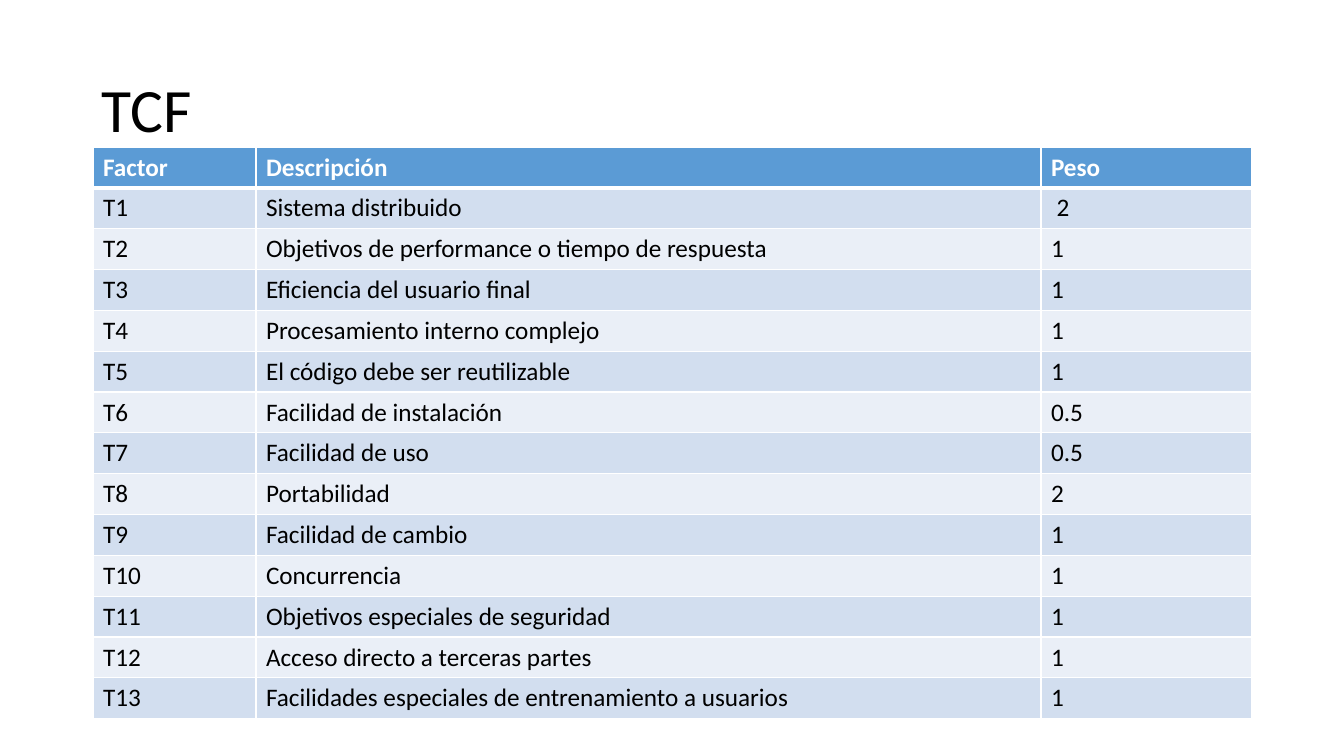
from lxml import etree
from pptx import Presentation
from pptx.dml.color import RGBColor
from pptx.enum.text import MSO_ANCHOR
from pptx.oxml.ns import qn
from pptx.util import Emu, Pt

MIDDLE = MSO_ANCHOR.MIDDLE
EMU_PER_PIXEL = 914400 / 100.8
FONT = "Calibri"
BLACK, WHITE = "000000", "FFFFFF"
HEADER_FILL = "5B9BD5"
BAND_FILLS = ("D2DEEF", "EAEFF7")

COLUMN_WIDTHS = (163, 785, 211)
HEADINGS = ("Factor", "Descripción", "Peso")
FACTORS = (
    ("Sistema distribuido", " 2"),
    ("Objetivos de performance o tiempo de respuesta", "1"),
    ("Eficiencia del usuario final", "1"),
    ("Procesamiento interno complejo", "1"),
    ("El código debe ser reutilizable", "1"),
    ("Facilidad de instalación", "0.5"),
    ("Facilidad de uso", "0.5"),
    ("Portabilidad", "2"),
    ("Facilidad de cambio", "1"),
    ("Concurrencia", "1"),
    ("Objetivos especiales de seguridad", "1"),
    ("Acceso directo a terceras partes", "1"),
    ("Facilidades especiales de entrenamiento a usuarios", "1"),
)


def px(pixels):
    return Emu(round(pixels * EMU_PER_PIXEL))


def color(hex_string):
    return RGBColor.from_string(hex_string)


def style_font(para, size, hex_string, bold=False):
    font = para.font
    font.name, font.size, font.bold = FONT, Pt(size), bold
    font.color.rgb = color(hex_string)


def add_title(page, text, left, top, width, height):
    box = page.shapes.add_textbox(px(left), px(top), px(width), px(height))
    frame = box.text_frame
    frame.word_wrap = True
    frame.vertical_anchor = MIDDLE
    para = frame.paragraphs[0]
    para.text = text
    para.line_spacing = 0.9
    style_font(para, 44, BLACK)


def set_border(cell, side, points):
    properties = cell._tc.get_or_add_tcPr()
    line = etree.SubElement(properties, qn(f"a:ln{side}"), w=str(Pt(points)))
    fill = etree.SubElement(line, qn("a:solidFill"))
    etree.SubElement(fill, qn("a:srgbClr"), val=WHITE)


def fill_cell(cell, text, row_index):
    is_header = row_index == 0
    # Borders come before the fill in the cell properties
    widths = {"L": 1, "R": 1, "T": 3 if row_index == 1 else 1, "B": 3 if is_header else 1}
    for side, points in widths.items():
        set_border(cell, side, points)
    cell.fill.solid()
    band = BAND_FILLS[(row_index - 1) % 2]
    cell.fill.fore_color.rgb = color(HEADER_FILL if is_header else band)
    cell.text = text
    style_font(cell.text_frame.paragraphs[0], 18, WHITE if is_header else BLACK, is_header)


def add_factor_table(page, rows, left, top, height):
    frame = page.shapes.add_table(len(rows), len(COLUMN_WIDTHS), px(left), px(top),
                                  px(sum(COLUMN_WIDTHS)), px(height))
    table = frame.table
    for column, width in zip(table.columns, COLUMN_WIDTHS):
        column.width = px(width)
    for row_index, texts in enumerate(rows):
        table.rows[row_index].height = px(height / len(rows))
        for column_index, text in enumerate(texts):
            fill_cell(table.cell(row_index, column_index), text, row_index)


def main():
    deck = Presentation()
    deck.slide_width, deck.slide_height = px(1344), px(756)
    page = deck.slides.add_slide(deck.slide_layouts[6])

    # Title
    add_title(page, "TCF", 92, 40, 1159, 146)

    # Technical factors, numbered T1 onwards
    numbered = [(f"T{number}", *factor) for number, factor in enumerate(FACTORS, 1)]
    add_factor_table(page, [HEADINGS, *numbered], 93, 147, 572)

    deck.save("out.pptx")


main()
